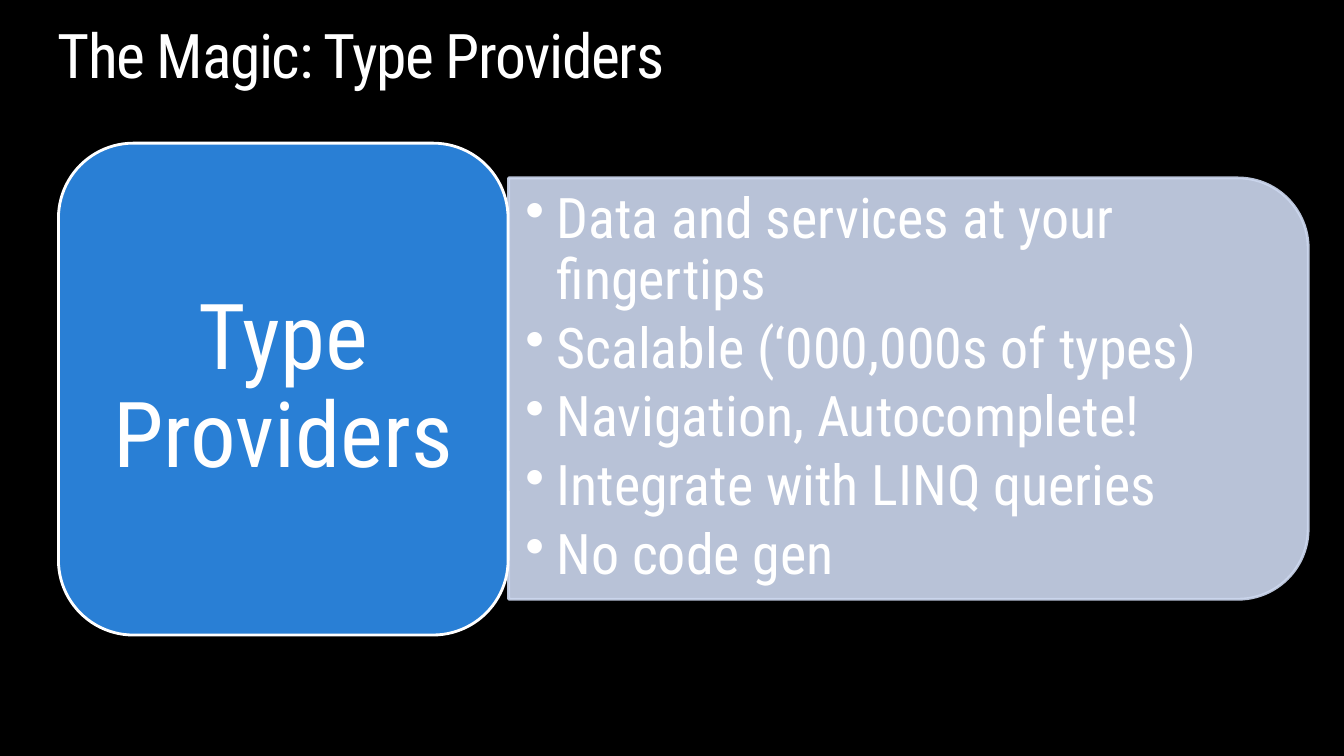
from dataclasses import dataclass

from lxml.etree import SubElement
from pptx import Presentation
from pptx.dml.color import RGBColor
from pptx.enum.shapes import MSO_SHAPE
from pptx.enum.text import MSO_ANCHOR, PP_ALIGN
from pptx.oxml.ns import qn
from pptx.util import Inches, Pt


@dataclass(frozen=True)
class Theme:
    font: str = "Roboto Condensed"
    background: RGBColor = RGBColor.from_string("000000")
    text: RGBColor = RGBColor.from_string("FFFFFF")
    card: RGBColor = RGBColor.from_string("297FD5")
    panel: RGBColor = RGBColor.from_string("CDD8EF")
    title_size: int = 44
    card_size: int = 65
    bullet_size: int = 40


theme = Theme()


def write_paragraphs(shape, lines, size, margins, anchor, align=PP_ALIGN.LEFT, after=0, indent=None):
    """Fill a shape with one styled paragraph per line; indent turns them into bullets."""
    frame = shape.text_frame
    horizontal, vertical = (Inches(margin) for margin in margins)
    settings = {
        "word_wrap": True,
        "vertical_anchor": anchor,
        "margin_left": horizontal,
        "margin_right": horizontal,
        "margin_top": vertical,
        "margin_bottom": vertical,
    }
    for name, value in settings.items():
        setattr(frame, name, value)
    frame.text = "\n".join(lines)
    for paragraph in frame.paragraphs:
        if indent:
            properties = paragraph._p.get_or_add_pPr()
            properties.set("marL", str(Inches(indent)))
            properties.set("indent", str(-Inches(indent)))
            SubElement(properties, qn("a:buChar")).set("char", "•")
        paragraph.alignment = align
        paragraph.line_spacing = 0.9
        paragraph.space_after = Pt(after)
        font = paragraph.runs[0].font
        font.name, font.size = theme.font, Pt(size)
        font.color.rgb = theme.text


def add_block(kind, box, fill, line):
    shape = slide.shapes.add_shape(kind, *(Inches(length) for length in box))
    shape.shadow.inherit = False
    shape.fill.solid()
    shape.fill.fore_color.rgb = fill
    shape.line.color.rgb = line
    shape.line.width = Pt(2)
    return shape


presentation = Presentation()
presentation.slide_width, presentation.slide_height = Inches(13.33), Inches(7.5)
slide = presentation.slides.add_slide(presentation.slide_layouts[6])
slide.background.fill.solid()
slide.background.fill.fore_color.rgb = theme.background

title = slide.shapes.add_textbox(Inches(0.57), Inches(0.25), Inches(12.19), Inches(0.67))
write_paragraphs(title, ["The Magic: Type Providers"], theme.title_size, (0, 0), MSO_ANCHOR.TOP)
title.text_frame.paragraphs[0].runs[0].font._element.set("spc", "-100")

# The panel is turned so that its rounded corners face right
panel = add_block(MSO_SHAPE.ROUND_2_SAME_RECTANGLE, (6.92, -0.11, 4.18, 7.93), theme.panel, theme.panel)
panel.rotation = 90
for color in panel._element.spPr.iter(qn("a:srgbClr")):
    SubElement(color, qn("a:alpha")).set("val", "90000")

benefits = [
    "Data and services at your fingertips",
    "Scalable (‘000,000s of types)",
    "Navigation, Autocomplete!",
    "Integrate with LINQ queries",
    "No code gen",
]
benefit_list = slide.shapes.add_textbox(Inches(5.04), Inches(1.97), Inches(7.72), Inches(3.77))
write_paragraphs(benefit_list, benefits, theme.bullet_size, (0.17, 0.08), MSO_ANCHOR.MIDDLE,
                 after=6, indent=0.31)

card = add_block(MSO_SHAPE.ROUNDED_RECTANGLE, (0.58, 1.42, 4.46, 4.88), theme.card, theme.text)
write_paragraphs(card, ["Type Providers"], theme.card_size, (0.27, 0.14), MSO_ANCHOR.MIDDLE,
                 align=PP_ALIGN.CENTER)

presentation.save("out.pptx")
